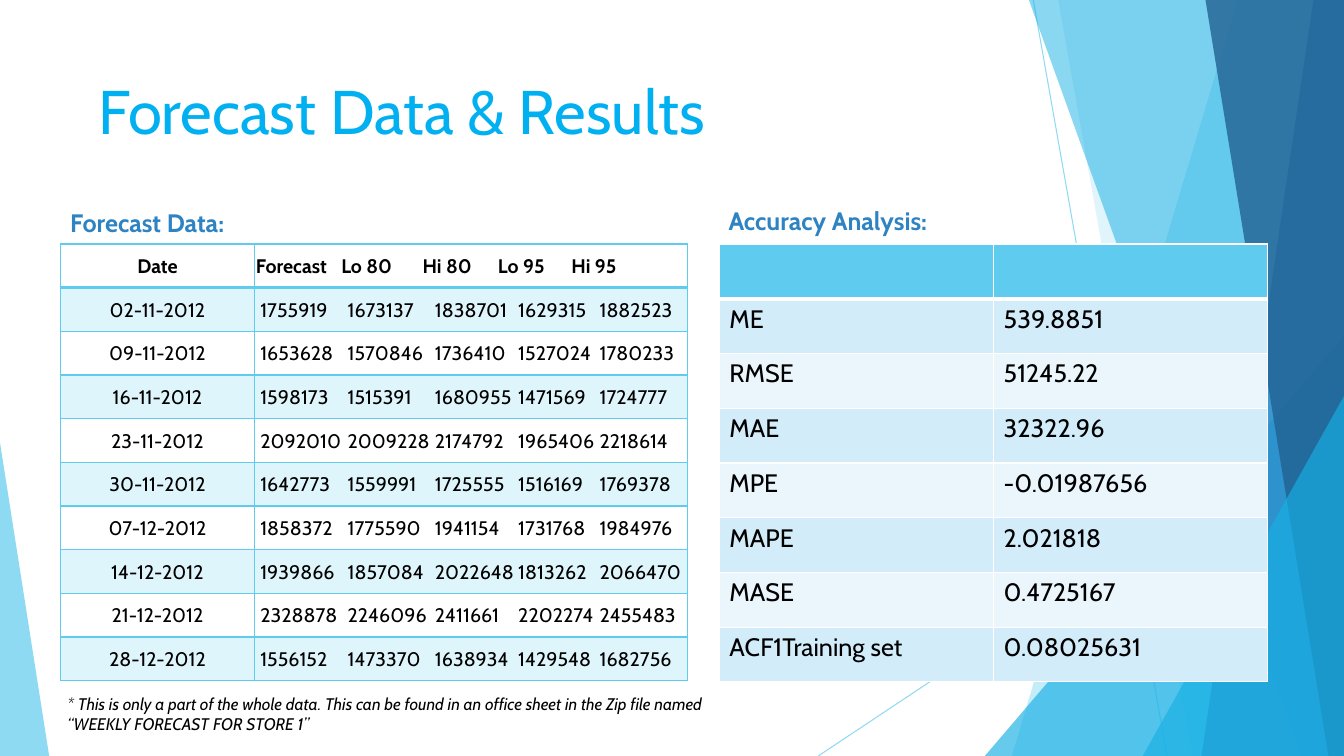
from dataclasses import dataclass

from lxml.etree import SubElement
from pptx import Presentation
from pptx.dml.color import RGBColor
from pptx.enum.shapes import MSO_CONNECTOR as Connector, MSO_SHAPE as Preset
from pptx.enum.text import MSO_ANCHOR as Anchor, MSO_AUTO_SIZE as AutoSize, PP_ALIGN as Align
from pptx.oxml.ns import qn
from pptx.util import Cm, Pt


@dataclass(frozen=True)
class Theme:
    font: str = "Cabin"
    sky: str = "5FCBEF"
    azure: str = "17B0E4"
    blue: str = "2E83C3"
    navy: str = "226292"
    title: str = "00B0F0"
    black: str = "000000"
    white: str = "FFFFFF"
    pale: str = "DFF5FC"
    band_dark: str = "D2ECF9"
    band_light: str = "EAF6FC"
    title_size: int = 44
    body_size: int = 18
    table_size: int = 14
    note_size: int = 12


THEME = Theme()
WIDTH, HEIGHT = 33.87, 19.05

FORECAST_HEADER = ["Forecast", "Lo 80", "Hi 80", "Lo 95", "Hi 95"]
FORECAST = {
    "02-11-2012": [1755919, 1673137, 1838701, 1629315, 1882523],
    "09-11-2012": [1653628, 1570846, 1736410, 1527024, 1780233],
    "16-11-2012": [1598173, 1515391, 1680955, 1471569, 1724777],
    "23-11-2012": [2092010, 2009228, 2174792, 1965406, 2218614],
    "30-11-2012": [1642773, 1559991, 1725555, 1516169, 1769378],
    "07-12-2012": [1858372, 1775590, 1941154, 1731768, 1984976],
    "14-12-2012": [1939866, 1857084, 2022648, 1813262, 2066470],
    "21-12-2012": [2328878, 2246096, 2411661, 2202274, 2455483],
    "28-12-2012": [1556152, 1473370, 1638934, 1429548, 1682756],
}
HEADER_STOPS = [2.15, 4.2, 6.1, 7.95]
VALUE_STOPS = [2.2, 4.4, 6.5, 8.55]

ACCURACY = {
    "ME": "539.8851",
    "RMSE": "51245.22",
    "MAE": "32322.96",
    "MPE": "-0.01987656",
    "MAPE": "2.021818",
    "MASE": "0.4725167",
    "ACF1Training set": "0.08025631",
}


def set_opacity(element, percent):
    for color in element.iter(qn("a:srgbClr")):
        SubElement(color, qn("a:alpha"), val=str(percent * 1000))


def style_facet(shape, color, opacity):
    shape.shadow.inherit = False
    shape.fill.solid()
    shape.fill.fore_color.rgb = RGBColor.from_string(color)
    shape.line.fill.background()
    set_opacity(shape._element.spPr, opacity)


def add_ray(slide, start, end):
    ray = slide.shapes.add_connector(Connector.STRAIGHT, *map(Cm, start + end))
    ray.line.color.rgb = RGBColor.from_string(THEME.sky)
    ray.line.width = Pt(0.75)
    properties = ray._element.spPr
    set_opacity(properties, 70)
    SubElement(properties, qn("a:effectLst"))


def add_edge_panel(slide, top_x, bottom_x, color, opacity):
    builder = slide.shapes.build_freeform(Cm(top_x), 0)
    corners = [(WIDTH, 0), (WIDTH, HEIGHT), (bottom_x, HEIGHT)]
    builder.add_line_segments([(Cm(x), Cm(y)) for x, y in corners])
    style_facet(builder.convert_to_shape(), color, opacity)


def add_corner(slide, left, top, width, apex, color, opacity):
    box = map(Cm, (left, top, width, HEIGHT - top))
    corner = slide.shapes.add_shape(Preset.ISOSCELES_TRIANGLE, *box)
    corner.adjustments[0] = apex
    style_facet(corner, color, opacity)


def add_facets(slide):
    add_ray(slide, (26.04, 0), (29.41, HEIGHT))
    add_ray(slide, (WIDTH, 10.24), (20.62, HEIGHT))
    add_edge_panel(slide, 31.19, 25.5, THEME.sky, 36)
    add_edge_panel(slide, 26.67, 30.05, THEME.sky, 20)
    add_corner(slide, 24.82, 8.46, 9.05, 1, THEME.azure, 66)
    add_edge_panel(slide, 25.93, 32.79, THEME.azure, 50)
    add_edge_panel(slide, 33.1, 30.28, THEME.blue, 70)
    add_edge_panel(slide, 30.38, 33.48, THEME.navy, 80)
    add_corner(slide, 28.8, 9.98, 5.07, 1, THEME.azure, 66)
    add_corner(slide, 0, 11.15, 1.24, 0, THEME.sky, 70)


def write(frame, text, size, color, bold=False, italic=False, align=Align.LEFT):
    frame.text = text
    paragraph = frame.paragraphs[0]
    paragraph.alignment = align
    font = paragraph.font
    font.name, font.size = THEME.font, Pt(size)
    font.bold, font.italic = bold, italic
    font.color.rgb = RGBColor.from_string(color)
    return paragraph


def set_title(slide, text):
    title = slide.shapes.title
    title.left, title.top, title.width, title.height = map(Cm, (1.88, 1.7, 23.88, 3.66))
    frame = title.text_frame
    frame.auto_size = AutoSize.NONE
    frame.vertical_anchor = Anchor.TOP
    write(frame, text, THEME.title_size, THEME.title)


def add_text(slide, box, text, size, color, **style):
    frame = slide.shapes.add_textbox(*map(Cm, box)).text_frame
    frame.word_wrap = True
    write(frame, text, size, color, **style)


def add_tab_stops(paragraph, stops):
    properties = paragraph._p.get_or_add_pPr()
    tab_list = properties.makeelement(qn("a:tabLst"))
    properties.insert(0, tab_list)
    for stop in stops:
        SubElement(tab_list, qn("a:tab"), pos=str(Cm(stop)), algn="l")


def style_cell(cell, fill, border, bottom_width=1):
    properties = cell._tc.get_or_add_tcPr()
    for side in "LRTB":
        width = bottom_width if side == "B" else 1
        line = SubElement(properties, qn(f"a:ln{side}"), w=str(Pt(width)))
        SubElement(SubElement(line, qn("a:solidFill")), qn("a:srgbClr"), val=border)
    cell.fill.solid()
    cell.fill.fore_color.rgb = RGBColor.from_string(fill)


def add_grid(slide, left, top, widths, row_height, row_count):
    size = (sum(widths), row_height * row_count)
    table = slide.shapes.add_table(row_count, len(widths), *map(Cm, (left, top, *size))).table
    table.first_row = table.horz_banding = False
    for column, width in zip(table.columns, widths):
        column.width = Cm(width)
    for row in table.rows:
        row.height = Cm(row_height)
    return table


def add_forecast_table(slide):
    rows = [("Date", FORECAST_HEADER), *FORECAST.items()]
    table = add_grid(slide, 1.52, 6.15, [4.9, 10.9], 1.1, len(rows))
    for index, (date, values) in enumerate(rows):
        header = index == 0
        fill = THEME.pale if index % 2 else THEME.white
        date_cell, value_cell = table.rows[index].cells
        for cell in (date_cell, value_cell):
            style_cell(cell, fill, THEME.sky, 2 if header else 1)
            cell.vertical_anchor = Anchor.MIDDLE
            cell.margin_left = cell.margin_right = cell.margin_top = Cm(0.03)
            cell.margin_bottom = 0
        write(date_cell.text_frame, date, THEME.table_size, THEME.black,
              bold=header, align=Align.CENTER)
        paragraph = write(value_cell.text_frame, "\t".join(map(str, values)),
                          THEME.table_size, THEME.black, bold=header)
        add_tab_stops(paragraph, HEADER_STOPS if header else VALUE_STOPS)
        if not header:
            value_cell.margin_left = Cm(0.14)


def add_accuracy_table(slide):
    rows = [("", ""), *ACCURACY.items()]
    table = add_grid(slide, 18.13, 6.15, [6.91, 6.91], 1.38, len(rows))
    for index, texts in enumerate(rows):
        header = index == 0
        band = THEME.band_dark if index % 2 else THEME.band_light
        for cell, text in zip(table.rows[index].cells, texts):
            style_cell(cell, THEME.sky if header else band, THEME.white, 3 if header else 1)
            write(cell.text_frame, text, THEME.body_size, THEME.black)


def main():
    presentation = Presentation()
    presentation.slide_width, presentation.slide_height = Cm(WIDTH), Cm(HEIGHT)
    slide = presentation.slides.add_slide(presentation.slide_layouts[5])
    add_facets(slide)
    set_title(slide, " Forecast Data & Results")
    add_forecast_table(slide)
    add_text(slide, (1.52, 5.11, 9.4, 1.02), "Forecast Data:",
             THEME.body_size, THEME.blue, bold=True)
    add_text(slide, (18.11, 5.05, 8.71, 1.02), "Accuracy Analysis:",
             THEME.body_size, THEME.blue, bold=True)
    add_accuracy_table(slide)
    add_text(slide, (1.45, 17.35, 16.94, 1.27),
             "* This is only a part of the whole data. This can be found in an office sheet "
             "in the Zip file named “WEEKLY FORECAST FOR STORE 1”",
             THEME.note_size, THEME.black, italic=True)
    presentation.save("out.pptx")


main()
